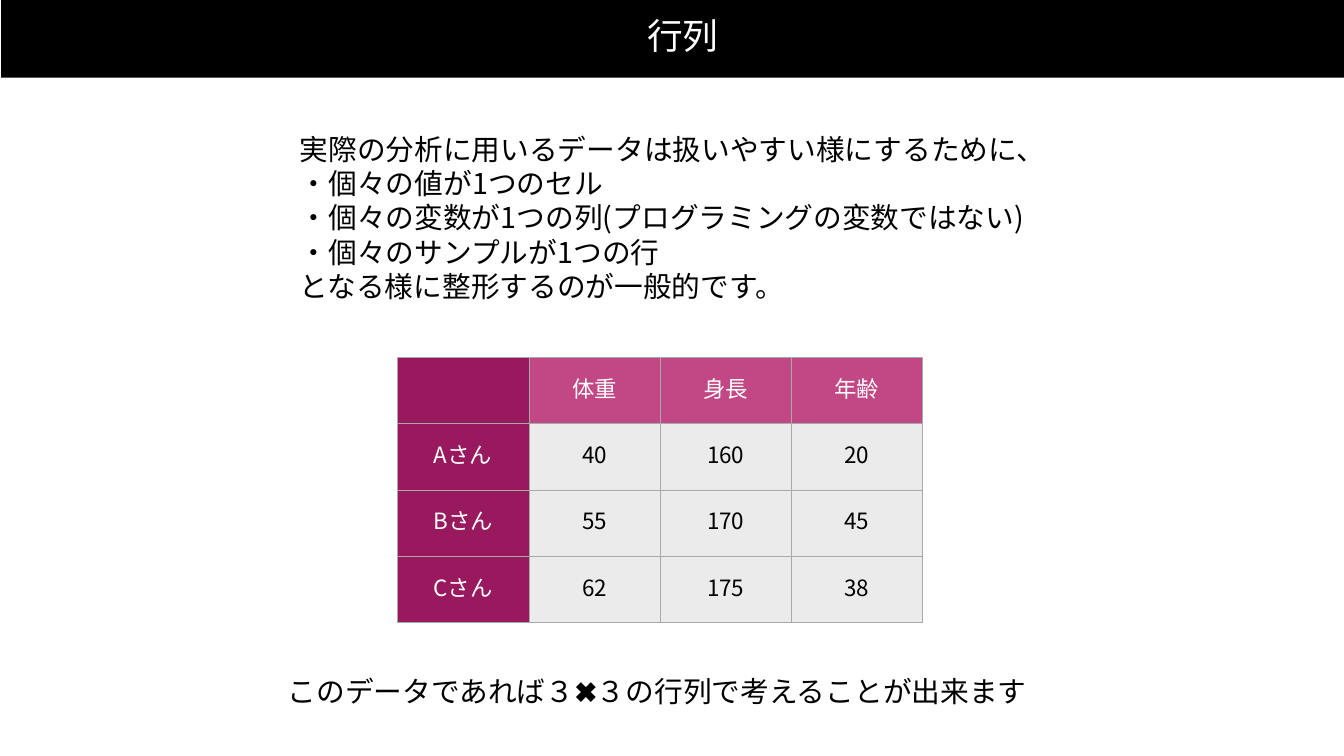
from lxml import etree
from pptx import Presentation, util as u
from pptx.dml.color import RGBColor
from pptx.enum import shapes, text
from pptx.oxml.ns import qn

TITLE = ["行列"]
BODY = [
    "実際の分析に用いるデータは扱いやすい様にするために、",
    "・個々の値が1つのセル",
    "・個々の変数が1つの列(プログラミングの変数ではない)",
    "・個々のサンプルが1つの行",
    "となる様に整形するのが一般的です。",
]
GRID = [
    ["", "体重", "身長", "年齢"],
    ["Aさん", "40", "160", "20"],
    ["Bさん", "55", "170", "45"],
    ["Cさん", "62", "175", "38"],
]
NOTE = ["このデータであれば３✖️３の行列で考えることが出来ます"]

THEME = {
    "font": "Noto Sans CJK JP",
    "black": "000000", "white": "FFFFFF",
    "head": "C24785", "side": "99195E", "cell": "EBEBEB", "rule": "A6AAA9",
    "title": 51, "body": 41, "table": 32, "lead": 1.2,
}
SIZE = (u.Inches(26.67), u.Inches(15))
PAD = u.Inches(0.06)
AREAS = {
    "bar": (0.08, -0.07, 100, 10.33),
    "title": (24.33, 1.87, 52.94, 5.53),
    "body": (22.08, 15, 55.98, 27.53),
    "table": (29.58, 47.27, 39.07, 35.07),
    "note": (21.18, 88.6, 55.91, 5.73),
}


def area(name):
    return [int(part * SIZE[i % 2] / 100) for i, part in enumerate(AREAS[name])]


def color(name):
    return RGBColor.from_string(THEME[name])


def write(frame, lines, size, ink, align):
    frame.text = "\n".join(lines)
    for para in frame.paragraphs:
        para.alignment = align
        para.line_spacing = u.Pt(round(THEME[size] * THEME["lead"]))
        font = para.font
        font.size = u.Pt(THEME[size])
        font.color.rgb = color(ink)
        font.name = THEME["font"]
        etree.SubElement(font._element, qn("a:ea"), typeface=THEME["font"])


def pad(item):
    item.margin_left = item.margin_right = PAD
    item.margin_top = item.margin_bottom = PAD
    item.vertical_anchor = text.MSO_ANCHOR.MIDDLE


def block(slide, name):
    shape = slide.shapes.add_shape(shapes.MSO_SHAPE.RECTANGLE, *area(name))
    shape.shadow.inherit = False
    shape.fill.solid()
    shape.fill.fore_color.rgb = color("black")
    shape.line.fill.background()
    return shape


def label(slide, name, lines):
    frame = slide.shapes.add_textbox(*area(name)).text_frame
    frame.word_wrap = True
    pad(frame)
    write(frame, lines, "body", "black", text.PP_ALIGN.LEFT)


def edge(cell):
    props = cell._tc.get_or_add_tcPr()
    for side in "LRTB":
        line = etree.SubElement(props, qn(f"a:ln{side}"), w=str(u.Pt(1)))
        fill = etree.SubElement(line, qn("a:solidFill"))
        etree.SubElement(fill, qn("a:srgbClr"), val=THEME["rule"])


def table(slide):
    rows, cols = len(GRID), len(GRID[0])
    left, top, width, height = area("table")
    grid = slide.shapes.add_table(rows, cols, left, top, width, height).table
    for col in grid.columns:
        col.width = width // cols
    for r, row in enumerate(GRID):
        grid.rows[r].height = height // rows
        for c, value in enumerate(row):
            cell = grid.cell(r, c)
            tone = "side" if c == 0 else "head" if r == 0 else "cell"
            ink = "black" if tone == "cell" else "white"
            pad(cell)
            edge(cell)
            cell.fill.solid()
            cell.fill.fore_color.rgb = color(tone)
            write(cell.text_frame, [value], "table", ink, text.PP_ALIGN.CENTER)


def main():
    deck = Presentation()
    deck.slide_width, deck.slide_height = SIZE
    slide = deck.slides.add_slide(deck.slide_layouts[6])
    block(slide, "bar")
    frame = block(slide, "title").text_frame
    pad(frame)
    write(frame, TITLE, "title", "white", text.PP_ALIGN.CENTER)
    label(slide, "body", BODY)
    table(slide)
    label(slide, "note", NOTE)
    deck.save("out.pptx")


if __name__ == "__main__":
    main()
